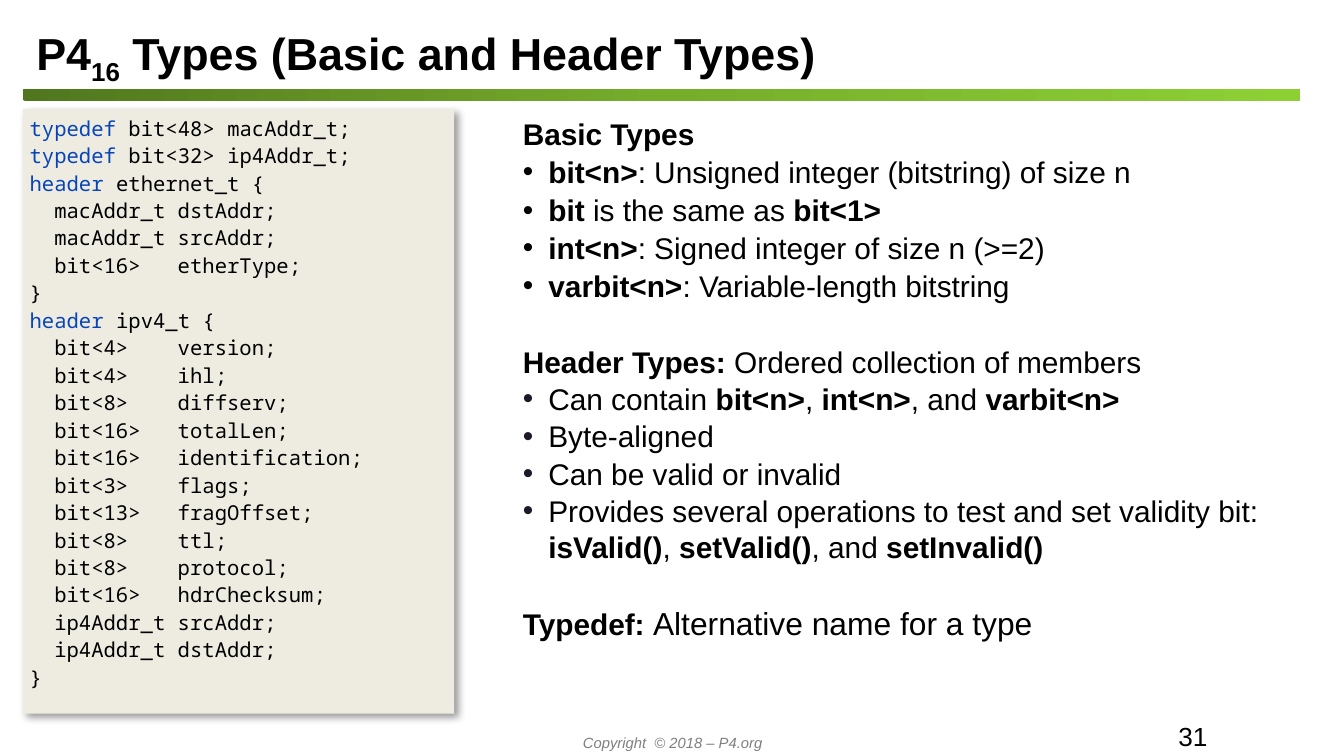
from copy import deepcopy

from lxml import etree
from pptx import Presentation
from pptx import util as u
from pptx.dml import color
from pptx.enum import shapes, text
from pptx.oxml import ns

BLACK, KEYWORD, PANEL = "000000", "0744B8", "EEECE1"
INDENT = u.Inches(0.19)


def rgb(value):
    return color.RGBColor.from_string(value)


def add_span(para, words, size=16, font="Arial", ink=BLACK, bold=False, italic=False):
    span = para.add_run()
    span.text = words
    span.font.size, span.font.name = u.Pt(size), font
    span.font.bold, span.font.italic = bold, italic
    span.font.color.rgb = rgb(ink)
    return span


deck = Presentation()
deck.slide_width = u.Inches(10)
deck.slide_height = u.Inches(10) * 9 // 16
page = deck.slides.add_slide(deck.slide_layouts[3])
title, code, notes = page.placeholders
footer = page.shapes.add_textbox(0, 0, 0, 0)
number = page.shapes.add_textbox(0, 0, 0, 0)

# Places and margins of all text boxes
for box, place, side_margin, anchor in [
    (title, (0.17, 0.14, 9.5, 0.52), 0.1, text.MSO_ANCHOR.TOP),
    (code, (0.17, 0.81, 3.21, 4.5), 0.05, text.MSO_ANCHOR.TOP),
    (notes, (3.79, 0.81, 5.9, 4.5), 0.1, text.MSO_ANCHOR.TOP),
    (footer, (1.17, 5.41, 7.67, 0.23), 0.1, text.MSO_ANCHOR.TOP),
    (number, (8.67, 5.39, 1.17, 0.17), 0.1, text.MSO_ANCHOR.MIDDLE),
]:
    box.left, box.top, box.width, box.height = map(u.Inches, place)
    frame = box.text_frame
    frame.word_wrap = True
    frame.auto_size = text.MSO_AUTO_SIZE.NONE
    frame.vertical_anchor = anchor
    frame.margin_left = frame.margin_right = u.Inches(side_margin)
    frame.margin_top = frame.margin_bottom = u.Inches(0.05)

# Title and the bar below it
para = title.text_frame.paragraphs[0]
para.alignment = text.PP_ALIGN.LEFT
add_span(para, "P4", size=24, bold=True)
subscript = add_span(para, "16", size=24, bold=True)
subscript._r.get_or_add_rPr().set("baseline", "-25000")
add_span(para, " Types (Basic and Header Types)", size=24, bold=True)

bar = page.shapes.add_shape(shapes.MSO_SHAPE.ROUNDED_RECTANGLE, u.Inches(0.17),
                            u.Inches(0.66), u.Inches(9.5), u.Inches(0.09))
bar.adjustments[0] = 0.17
bar.shadow.inherit = False
bar.line.fill.background()
bar.fill.gradient()
bar.fill.gradient_angle = 0
first_stop = bar._element.spPr.find(".//" + ns.qn("a:gs"))
first_stop.addnext(deepcopy(first_stop))
for stop, position, ink in zip(bar.fill.gradient_stops, (0, 0.5, 1),
                               ("50771E", "76AD2B", "8DD034")):
    stop.position = position
    stop.color.rgb = rgb(ink)

# Code panel
code.fill.solid()
code.fill.fore_color.rgb = rgb(PANEL)
effects = etree.SubElement(code._element.spPr, ns.qn("a:effectLst"))
shadow = etree.SubElement(effects, ns.qn("a:outerShdw"), blurRad=str(u.Pt(4)),
                          dist=str(u.Pt(3)), dir="2700000", algn="tl", rotWithShape="0")
shade = etree.SubElement(shadow, ns.qn("a:srgbClr"), val=BLACK)
etree.SubElement(shade, ns.qn("a:alpha"), val="40000")

listing = """typedef bit<48> macAddr_t;
typedef bit<32> ip4Addr_t;
header ethernet_t {
  macAddr_t dstAddr;
  macAddr_t srcAddr;
  bit<16>   etherType;
}
header ipv4_t {
  bit<4>    version;
  bit<4>    ihl;
  bit<8>    diffserv;
  bit<16>   totalLen;
  bit<16>   identification;
  bit<3>    flags;
  bit<13>   fragOffset;
  bit<8>    ttl;
  bit<8>    protocol;
  bit<16>   hdrChecksum;
  ip4Addr_t srcAddr;
  ip4Addr_t dstAddr;
}"""
for row, line in enumerate(listing.split("\n")):
    para = code.text_frame.add_paragraph() if row else code.text_frame.paragraphs[0]
    properties = para._p.get_or_add_pPr()
    properties.set("marL", "0")
    properties.set("indent", "0")
    etree.SubElement(properties, ns.qn("a:buNone"))
    para.line_spacing = 1.0
    para.space_before = u.Pt(1.5 if row else 0)
    word, gap, rest = line.partition(" ")
    if word in ("typedef", "header"):
        add_span(para, word, size=11, font="Noto Sans Mono", ink=KEYWORD)
        line = gap + rest
    add_span(para, line, size=11, font="Noto Sans Mono")

# Explanations: bullet colour (None for a heading), space before, text with **bold** parts
DARK = "1F1828"
explanations = [
    (None, 0, "**Basic Types**"),
    (BLACK, 1.3, "**bit<n>**: Unsigned integer (bitstring) of size n"),
    (BLACK, 1.3, "**bit** is the same as **bit<1>**"),
    (BLACK, 0.9, "**int<n>**: Signed integer of size n (>=2)"),
    (BLACK, 1.1, "**varbit<n>**: Variable-length bitstring"),
    (None, 21.4, "**Header Types: **Ordered collection of members"),
    (DARK, 0.8, "Can contain **bit<n>**, **int<n>**, and **varbit<n>**"),
    (DARK, 0.9, "Byte-aligned"),
    (DARK, 0.8, "Can be valid or invalid"),
    (DARK, 0.8, "Provides several operations to test and set validity bit: "
                "**isValid()**, **setValid()**, and **setInvalid()**"),
    (None, 21.4, "**Typedef: **"),
]
for row, (bullet, before, words) in enumerate(explanations):
    para = notes.text_frame.add_paragraph() if row else notes.text_frame.paragraphs[0]
    para.level = 1 if bullet == DARK else 0
    properties = para._p.get_or_add_pPr()
    properties.set("marL", str(INDENT if bullet else 0))
    properties.set("indent", str(-INDENT if bullet else 0))
    if bullet:
        tint = etree.SubElement(properties, ns.qn("a:buClr"))
        etree.SubElement(tint, ns.qn("a:srgbClr"), val=bullet)
        etree.SubElement(properties, ns.qn("a:buFont"), typeface="Arial")
        etree.SubElement(properties, ns.qn("a:buChar"), char="•")
    else:
        etree.SubElement(properties, ns.qn("a:buNone"))
    para.line_spacing = 1.0
    para.space_before = u.Pt(before)
    for part, piece in enumerate(words.split("**")):
        if piece:
            add_span(para, piece, bold=part % 2 == 1)
add_span(para, "Alternative name for a type", size=17)

# Footer
para = footer.text_frame.paragraphs[0]
para.alignment = text.PP_ALIGN.CENTER
add_span(para, "Copyright  © 2018 – P4.org", size=7.9, ink="7F7F7F", italic=True)
add_span(number.text_frame.paragraphs[0], "31", size=14)

deck.save("out.pptx")
